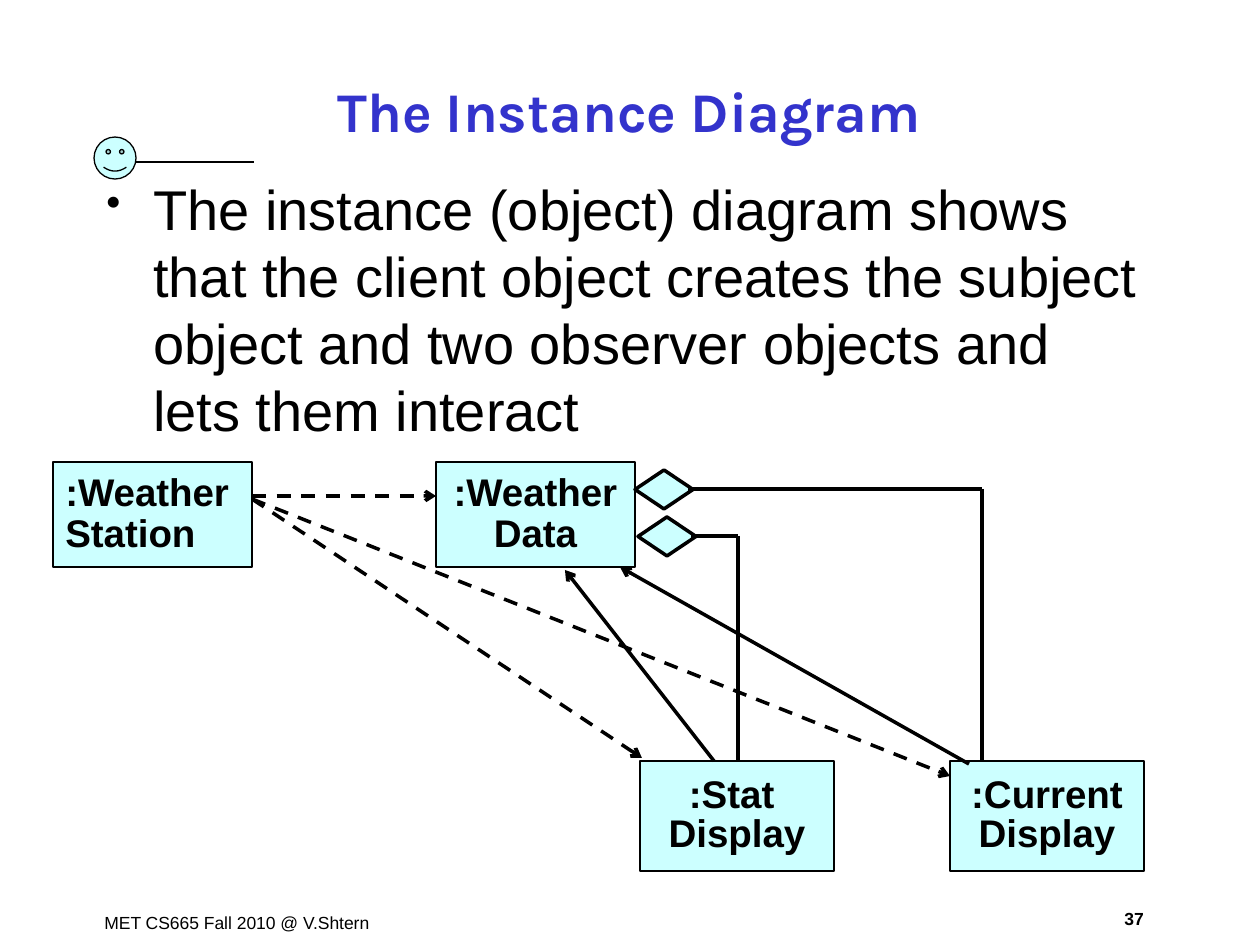
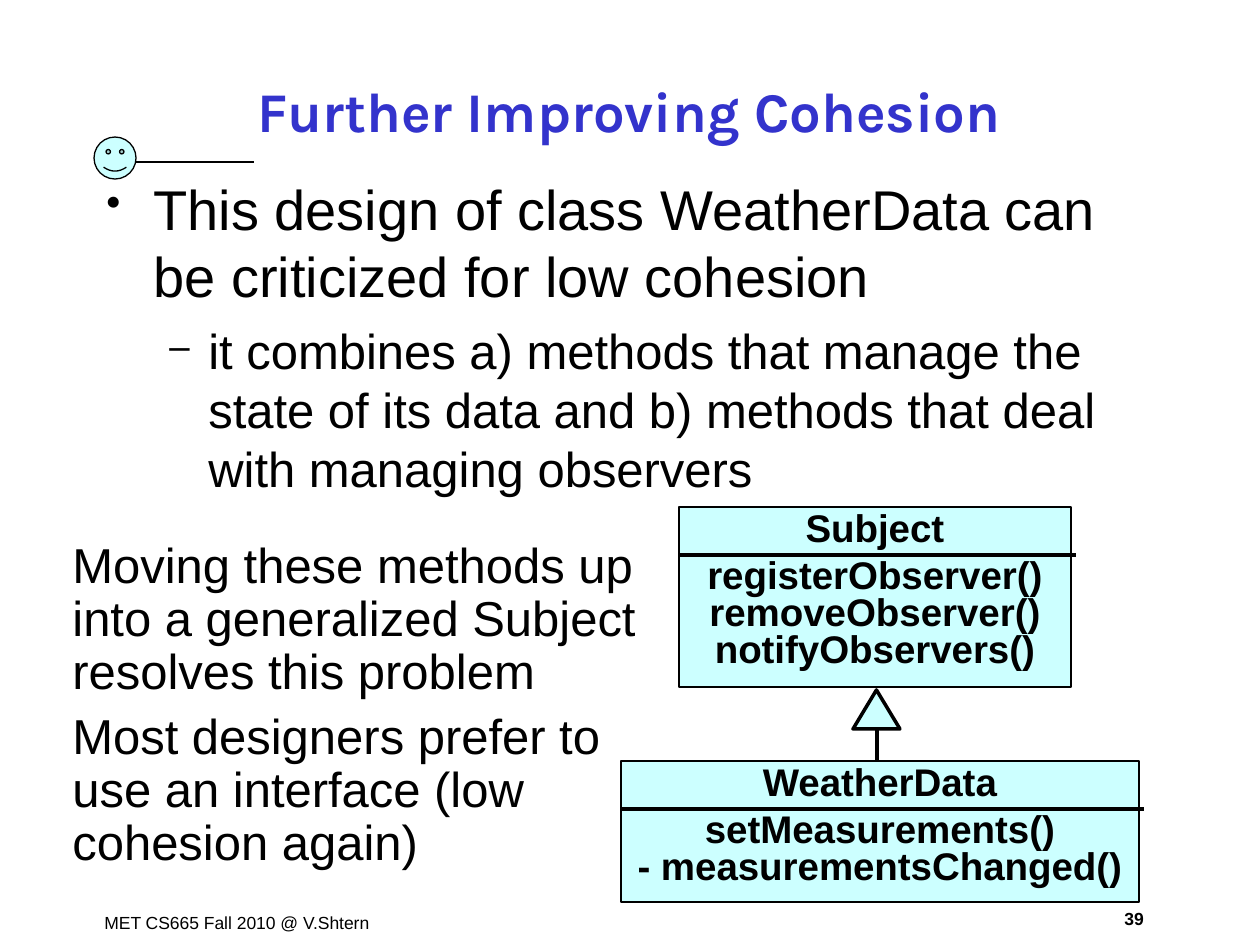
import dataclasses
import pptx
import pptx.util
import pptx.dml.color
import pptx.enum.dml
import pptx.enum.shapes
import pptx.enum.text
import pptx.oxml.ns
import lxml.etree

PX = 914400 / 126
SHAPE = pptx.enum.shapes.MSO_SHAPE
ALIGN = pptx.enum.text.PP_ALIGN
ANCHOR = pptx.enum.text.MSO_ANCHOR


# Theme
@dataclasses.dataclass(frozen=True)
class Theme:
    ink: str = "000000"
    title: str = "3333CC"
    fill: str = "CCFFFF"
    font: str = "Arial"
    title_font: str = "Karla"
    title_size: int = 32
    body_size: int = 32
    sub_size: int = 28
    box_size: int = 22
    footer_size: int = 10
    stroke: float = 2


T = Theme()


# Helpers
def px(*lengths):
    return [pptx.util.Emu(round(n * PX)) for n in lengths]


def rgb(color):
    return pptx.dml.color.RGBColor.from_string(color)


def add_xml(parent, tag, **attrs):
    child = lxml.etree.SubElement(parent, pptx.oxml.ns.qn(tag))
    for name, value in attrs.items():
        child.set(name, str(value))
    return child


def set_bullet(p, char, left, hang):
    pPr = p._p.get_or_add_pPr()
    pPr.set("marL", str(px(left)[0]))
    pPr.set("indent", str(px(-hang)[0]))
    add_xml(add_xml(pPr, "a:buClr"), "a:srgbClr", val=T.ink)
    add_xml(pPr, "a:buSzPct", val=75000)
    add_xml(pPr, "a:buChar", char=char)


def add_text(tf, text, size, font=T.font, color=T.ink, bold=False,
             align=ALIGN.LEFT, spacing=None, before=0, bullet=None):
    """Append a paragraph; a newline in the text is a line break."""
    p = tf.paragraphs[0]
    if p.runs:
        p = tf.add_paragraph()
    p.alignment = align
    p.line_spacing = spacing
    p.space_before = pptx.util.Pt(before)
    if bullet:
        set_bullet(p, *bullet)
    for i, line in enumerate(text.split("\n")):
        if i:
            p.add_line_break()
        r = p.add_run()
        r.text = line
        r.font.name = font
        r.font.size = pptx.util.Pt(size)
        r.font.bold = bold
        r.font.color.rgb = rgb(color)
    return p


def add_textbox(s, *area):
    tf = s.shapes.add_textbox(*px(*area)).text_frame
    tf.word_wrap = True
    return tf


def add_figure(s, kind, *area, stroke=T.stroke):
    sp = s.shapes.add_shape(kind, *px(*area))
    sp.shadow.inherit = False
    sp.fill.solid()
    sp.fill.fore_color.rgb = rgb(T.fill)
    sp.line.color.rgb = rgb(T.ink)
    sp.line.width = pptx.util.Pt(stroke)
    return sp


def add_line(s, x1, y1, x2, y2, stroke=T.stroke, dashed=False, arrow=False):
    line = s.shapes.add_connector(
        pptx.enum.shapes.MSO_CONNECTOR.STRAIGHT, *px(x1, y1, x2, y2))
    line.line.color.rgb = rgb(T.ink)
    line.line.width = pptx.util.Pt(stroke)
    if dashed:
        line.line.dash_style = pptx.enum.dml.MSO_LINE.DASH
    if arrow:
        add_xml(line.line._get_or_add_ln(), "a:tailEnd", type="arrow")
    add_xml(line._element.spPr, "a:effectLst")


def add_object(s, text, *area, align=ALIGN.CENTER, spacing=0.9):
    tf = add_figure(s, SHAPE.RECTANGLE, *area, stroke=1.5).text_frame
    tf.word_wrap = True
    tf.vertical_anchor = ANCHOR.MIDDLE
    add_text(tf, text, T.box_size, bold=True, align=align, spacing=spacing)


def add_class(s, name, methods, x, y, w, h):
    tf = add_figure(s, SHAPE.RECTANGLE, x, y, w, h, stroke=1).text_frame
    tf.word_wrap = True
    tf.vertical_anchor = ANCHOR.TOP
    for i, text in enumerate([name] + methods):
        add_text(tf, text, T.box_size, bold=True, align=ALIGN.CENTER,
                 spacing=0.8, before=5.5 if i == 1 else 0)
    add_line(s, x, y + 48, x + w + 5, y + 48)


# Shared frame: footer, page number, smiley rule and title
def add_slide(prs, title, number):
    s = prs.slides.add_slide(prs.slide_layouts[5])
    add_text(add_textbox(s, 92, 906, 304, 34),
             "MET CS665 Fall 2010 @ V.Shtern", T.footer_size, before=6.2)
    add_text(add_textbox(s, 1100, 902, 68, 34), number, T.footer_size,
             bold=True, align=ALIGN.CENTER, before=6.2)
    smiley = add_figure(s, SHAPE.SMILEY_FACE, 94, 137, 42, 42, stroke=0.75)
    smiley.adjustments[0] = 0.09
    add_line(s, 136, 162, 254, 162, stroke=1)

    sp = s.shapes.title
    sp.left, sp.top, sp.width, sp.height = px(94, 60, 1071, 101)
    tf = sp.text_frame
    tf.auto_size = pptx.enum.text.MSO_AUTO_SIZE.NONE
    tf.vertical_anchor = ANCHOR.MIDDLE
    add_text(tf, title, T.title_size, font=T.title_font, color=T.title,
             bold=True, align=ALIGN.CENTER)
    return s


def add_body(s, point, subpoint=None):
    tf = add_textbox(s, 94, 168, 1071, 726)
    add_text(tf, point, T.body_size, before=8, bullet=("•", 47, 47))
    if subpoint:
        p = add_text(tf, subpoint, T.sub_size, before=7, bullet=("–", 102, 39))
        p.level = 1


# Slides
def instance_slide(prs):
    s = add_slide(prs, "The Instance Diagram", "37")
    add_body(s, "The instance (object) diagram shows that the client object "
                "creates the subject object and two observer objects and "
                "lets them interact")

    # Objects
    add_object(s, ":Weather\nStation", 53, 462, 199, 105, align=ALIGN.LEFT)
    add_object(s, ":Weather\nData", 436, 462, 199, 105)
    add_object(s, ":Stat \nDisplay", 640, 761, 194, 110, spacing=0.85)
    add_object(s, ":Current\nDisplay", 950, 761, 194, 110, spacing=0.85)

    # Aggregations: diamond, horizontal run, drop to the display
    for x, y, drop_x in ((635, 470, 982), (638, 517, 738)):
        add_figure(s, SHAPE.FLOWCHART_DECISION, x, y, 58, 39)
        add_line(s, x + 53, y + 19, drop_x, y + 19)
        add_line(s, drop_x, y + 19, drop_x, 760)

    # Creation by the station
    for x1, y1, x2, y2 in ((252, 496, 436, 496), (252, 499, 642, 758),
                           (252, 499, 950, 776)):
        add_line(s, x1, y1, x2, y2, dashed=True, arrow=True)

    # Displays refer back to the data
    add_line(s, 714, 761, 565, 570, arrow=True)
    add_line(s, 969, 764, 620, 567, arrow=True)


def cohesion_slide(prs):
    s = add_slide(prs, "Further Improving Cohesion", "39")
    add_body(s, "This design of class WeatherData can be criticized for low "
                "cohesion",
             "it combines a) methods that manage the state of its data and "
             "b) methods that deal with managing observers")

    # Class diagram with generalization
    add_class(s, "Subject", ["registerObserver()", "removeObserver()",
                             "notifyObservers()"], 679, 507, 392, 180)
    add_class(s, "WeatherData", ["setMeasurements()",
                                 "- measurementsChanged()"],
              621, 761, 518, 141)
    add_figure(s, SHAPE.ISOSCELES_TRIANGLE, 853, 690, 47, 39)
    add_line(s, 877, 729, 877, 761)

    # Commentary
    tf = add_textbox(s, 60, 535, 620, 343)
    add_text(tf, "Moving these methods up into a generalized Subject "
                 "resolves this problem", T.sub_size, spacing=0.9, before=17.5)
    add_text(tf, "Most designers prefer to use an interface (low cohesion "
                 "again)", T.sub_size, spacing=0.9, before=7)


def main():
    prs = pptx.Presentation()
    prs.slide_width, prs.slide_height = px(1260, 945)
    instance_slide(prs)
    cohesion_slide(prs)
    prs.save("out.pptx")


if __name__ == "__main__":
    main()
